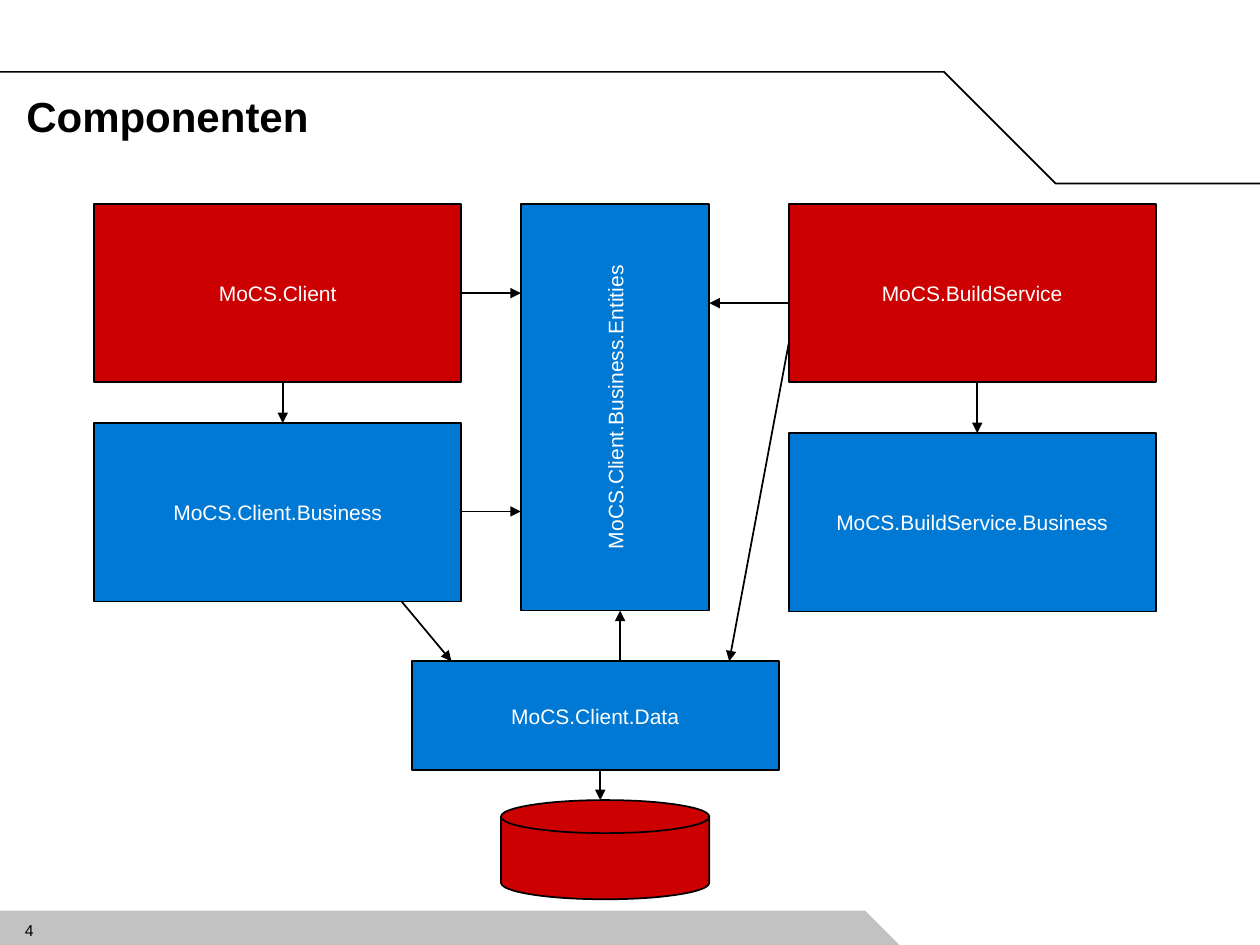
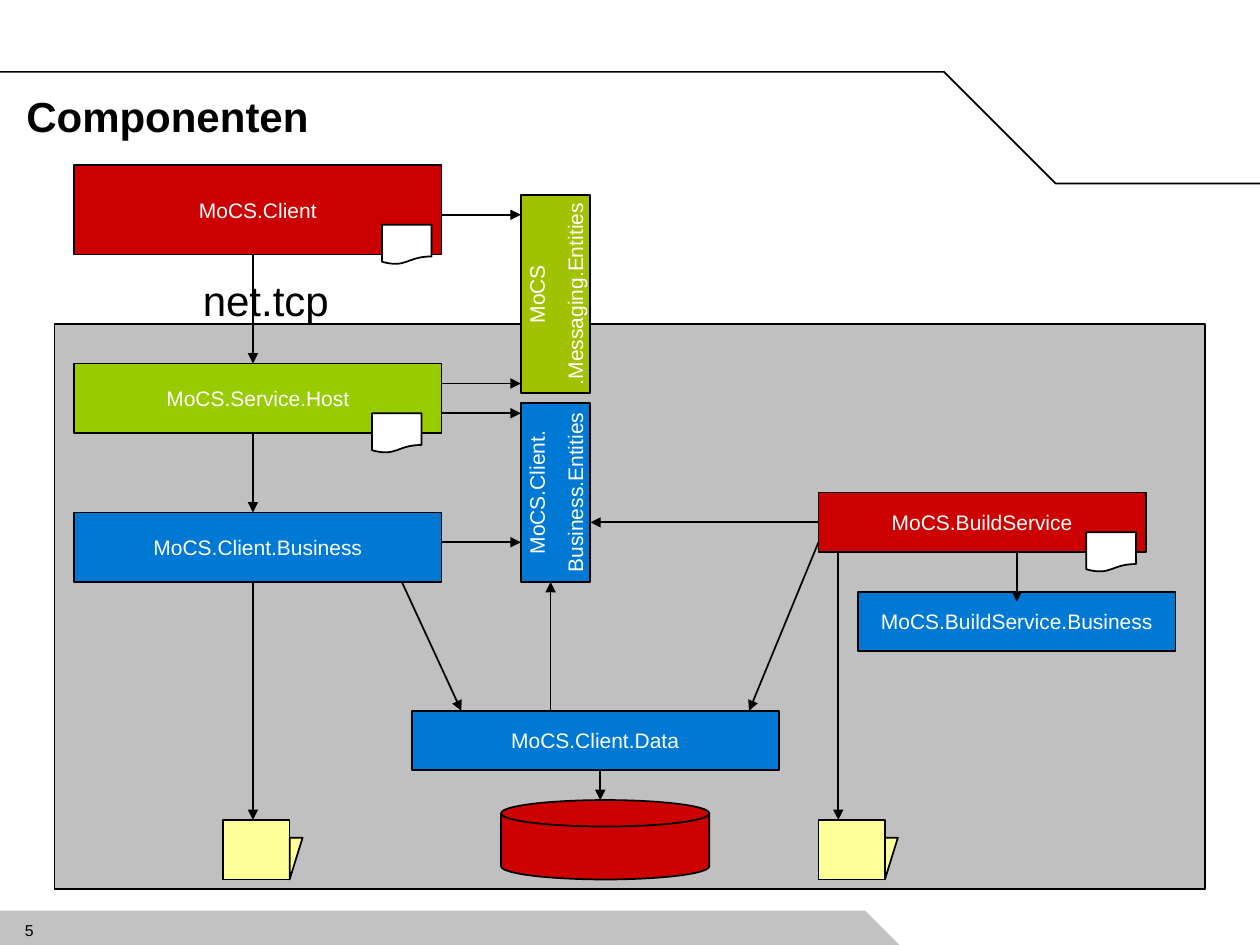
"""Build two slides that show the parts of MoCS and how they depend on each other."""
import pptx
import pptx.dml.color
import pptx.enum.shapes
import pptx.enum.text
import pptx.oxml.ns
import pptx.oxml.xmlchemy
import pptx.util
from lxml import etree

Cm = pptx.util.Cm
Pt = pptx.util.Pt
KIND = pptx.enum.shapes.MSO_SHAPE
ALIGN = pptx.enum.text.PP_ALIGN
ANCHOR = pptx.enum.text.MSO_ANCHOR
qn = pptx.oxml.ns.qn

FONT = "Arial"
HUES = {
    "black": "000000",
    "white": "FFFFFF",
    "red": "CC0000",
    "blue": "0079D4",
    "lime": "99CC00",
    "olive": "A1C200",
    "yellow": "FFFF99",
    "panel": "C0C0C0",
    "band": "C2C2C2",
}


def tint(name):
    return pptx.dml.color.RGBColor.from_string(HUES[name])


def write(frame, lines, size, hue="black", align=ALIGN.LEFT, bold=False, wrap=True):
    frame.margin_left = frame.margin_right = frame.margin_top = frame.margin_bottom = 0
    frame.word_wrap = wrap
    frame.auto_size = pptx.enum.text.MSO_AUTO_SIZE.NONE
    for i, line in enumerate(lines):
        para = frame.add_paragraph() if i else frame.paragraphs[0]
        para.alignment = align
        para.space_before = Pt(7.5 if i else 0)
        run = para.add_run()
        run.text = line
        run.font.name = FONT
        run.font.size = Pt(size)
        run.font.bold = bold
        run.font.color.rgb = tint(hue)


def stroke(line):
    line.color.rgb = tint("black")
    line.width = Pt(1)


def shape(home, kind, place, hue, edge=True):
    item = home.shapes.add_shape(kind, *map(Cm, place))
    item.shadow.inherit = False
    item.fill.solid()
    item.fill.fore_color.rgb = tint(hue)
    if edge:
        stroke(item.line)
    else:
        item.line.fill.background()
    return item


def block(slide, place, hue, *lines, turn=False):
    item = shape(slide, KIND.RECTANGLE, place, hue)
    write(item.text_frame, lines, 12, "white", ALIGN.CENTER, wrap=False)
    item.text_frame.vertical_anchor = ANCHOR.MIDDLE
    if turn:
        item.element.txBody.find(qn("a:bodyPr")).set("vert", "vert270")


def label(slide, place, text, size, align=ALIGN.LEFT, wrap=True):
    item = slide.shapes.add_textbox(*map(Cm, place))
    write(item.text_frame, [text], size, align=align, wrap=wrap)


def arrow(slide, *ends):
    item = slide.shapes.add_connector(
        pptx.enum.shapes.MSO_CONNECTOR.STRAIGHT, *map(Cm, ends))
    stroke(item.line)
    props = item.element.spPr
    etree.SubElement(props.find(qn("a:ln")), qn("a:tailEnd"), type="triangle")
    etree.SubElement(props, qn("a:effectLst"))


def disk(slide, height):
    shape(slide, KIND.FLOWCHART_MAGNETIC_DISK, (10.1, 16.13, 4.2, height), "red")


def sheet(slide, left, top):
    shape(slide, KIND.FLOWCHART_DOCUMENT, (left, top, 1, 0.8), "white")


def folder(slide, left):
    group = slide.shapes.add_group_shape()
    shape(group, KIND.RECTANGLE, (left, 16.53, 1.34, 1.2), "yellow")
    flap = shape(group, KIND.RIGHT_TRIANGLE, (left + 1.34, 16.89, 0.26, 0.84), "yellow")
    flap.element.spPr.find(qn("a:xfrm")).set("flipV", "1")


def start(deck, title, page):
    slide = deck.slides.add_slide(deck.slide_layouts[5])
    slide.background.fill.solid()
    slide.background.fill.fore_color.rgb = tint("white")
    head = slide.shapes.title
    head.left, head.top, head.width, head.height = map(Cm, (0.53, 1.83, 18.64, 1.02))
    write(head.text_frame, [title], 24, bold=True)
    head.text_frame.vertical_anchor = ANCHOR.TOP

    path = slide.shapes.build_freeform(0, Cm(1.45))
    bends = [(19.03, 1.45), (21.28, 3.7), (25.4, 3.7)]
    path.add_line_segments([(Cm(x), Cm(y)) for x, y in bends], close=False)
    rule = path.convert_to_shape()
    rule.shadow.inherit = False
    rule.fill.background()
    stroke(rule.line)

    shape(slide, KIND.RECTANGLE, (0, 18.36, 17.44, 0.69), "band", edge=False)
    shape(slide, KIND.RIGHT_TRIANGLE, (17.44, 18.36, 0.69, 0.69), "band", edge=False)
    label(slide, (0.5, 18.57, 0.8, 0.38), str(page), 9)
    return slide


def layers(deck):
    slide = start(deck, "Componenten", 4)
    wide, tall = 7.4, 3.6
    block(slide, (1.9, 4.11, wide, tall), "red", "MoCS.Client")
    block(slide, (1.9, 8.53, wide, tall), "blue", "MoCS.Client.Business")
    block(slide, (8.3, 13.33, wide, 2.2), "blue", "MoCS.Client.Data")
    block(slide, (10.5, 4.11, 3.8, 8.2), "blue", "MoCS.Client.Business.Entities", turn=True)
    block(slide, (15.9, 4.11, wide, tall), "red", "MoCS.BuildService")
    block(slide, (15.9, 8.73, wide, tall), "blue", "MoCS.BuildService.Business")
    disk(slide, 2)
    for ends in [
        (19.7, 7.71, 19.7, 8.73),
        (15.9, 6.11, 14.3, 6.11),
        (15.9, 6.92, 14.7, 13.33),
        (12.5, 13.33, 12.5, 12.31),
        (5.7, 7.71, 5.7, 8.53),
        (9.3, 5.91, 10.5, 5.91),
        (9.3, 10.31, 10.5, 10.31),
        (8.1, 12.13, 9.1, 13.33),
        (12.1, 15.53, 12.1, 16.13),
    ]:
        arrow(slide, *ends)


def server(deck):
    slide = start(deck, "Componenten", 5)
    wide = 7.4
    shape(slide, KIND.RECTANGLE, (1.1, 6.53, 23.2, 11.4), "panel")
    block(slide, (1.5, 3.33, wide, 1.8), "red", "MoCS.Client")
    block(slide, (1.5, 7.33, wide, 1.4), "lime", "MoCS.Service.Host")
    block(slide, (1.5, 10.33, wide, 1.4), "blue", "MoCS.Client.Business")
    block(slide, (8.3, 14.33, wide, 1.2), "blue", "MoCS.Client.Data")
    block(slide, (10.5, 3.93, 1.4, 4), "olive", "MoCS", ".Messaging.Entities", turn=True)
    block(slide, (10.5, 8.13, 1.4, 3.6), "blue", "MoCS.Client.", "Business.Entities", turn=True)
    block(slide, (16.5, 9.93, 6.6, 1.2), "red", "MoCS.BuildService")
    block(slide, (17.3, 11.93, 6.4, 1.2), "blue", "MoCS.BuildService.Business")
    disk(slide, 1.6)
    for left in (4.5, 16.5):
        folder(slide, left)
    for ends in [
        (20.5, 11.13, 20.5, 12.13),
        (16.5, 10.53, 11.9, 10.53),
        (16.5, 10.93, 15.1, 14.33),
        (11.1, 14.33, 11.1, 11.73),
        (5.1, 5.13, 5.1, 7.33),
        (5.1, 8.73, 5.1, 10.33),
        (5.1, 11.73, 5.1, 16.53),
        (8.1, 11.73, 9.3, 14.33),
        (12.1, 15.53, 12.1, 16.13),
        (16.9, 11.13, 16.9, 16.53),
    ]:
        arrow(slide, *ends)
    for top in (4.33, 7.73, 8.33, 10.93):
        arrow(slide, 8.9, top, 10.5, top)
    for left, top in [(7.7, 4.53), (7.5, 8.33), (21.9, 10.73)]:
        sheet(slide, left, top)
    label(slide, (4.09, 5.54, 2.54, 1.02), "net.tcp", 24, ALIGN.CENTER, wrap=False)


def main():
    deck = pptx.Presentation()
    deck.slide_width, deck.slide_height = Cm(25.4), Cm(19.05)
    layers(deck)
    server(deck)
    deck.save("out.pptx")


if __name__ == "__main__":
    main()
